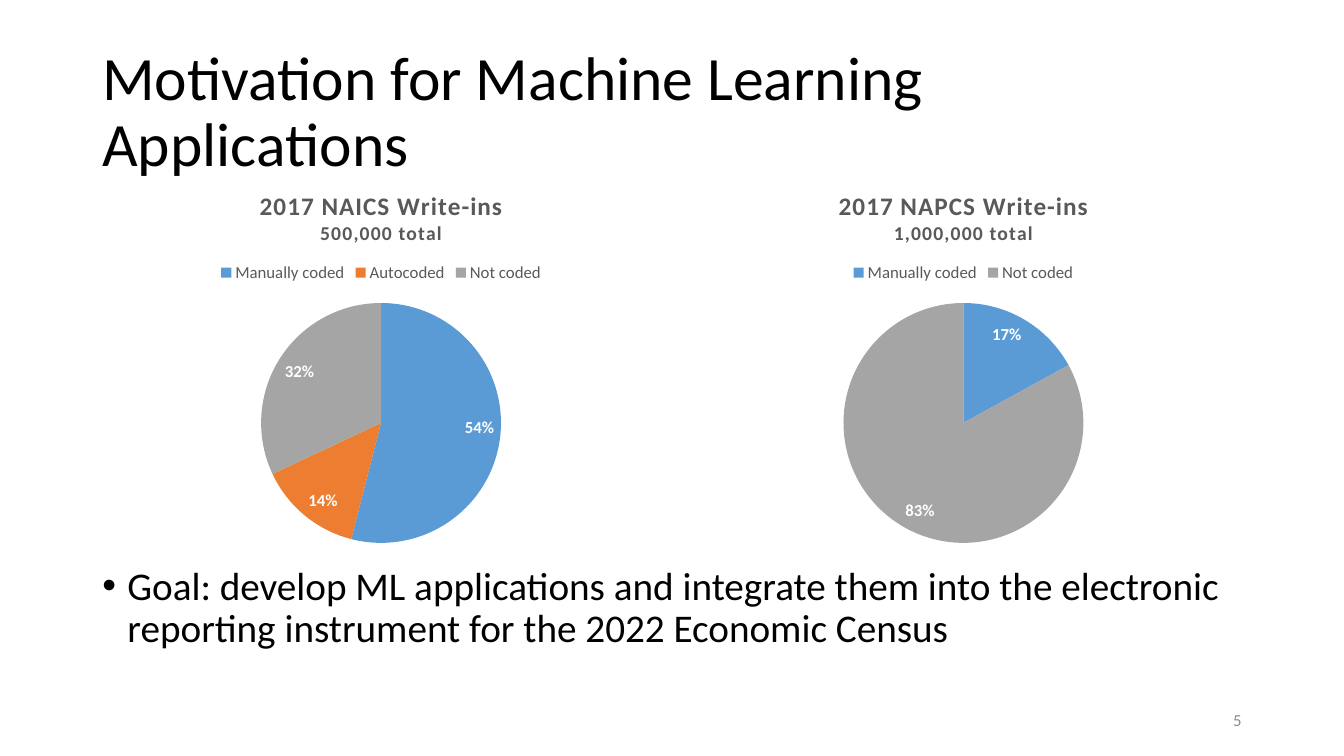
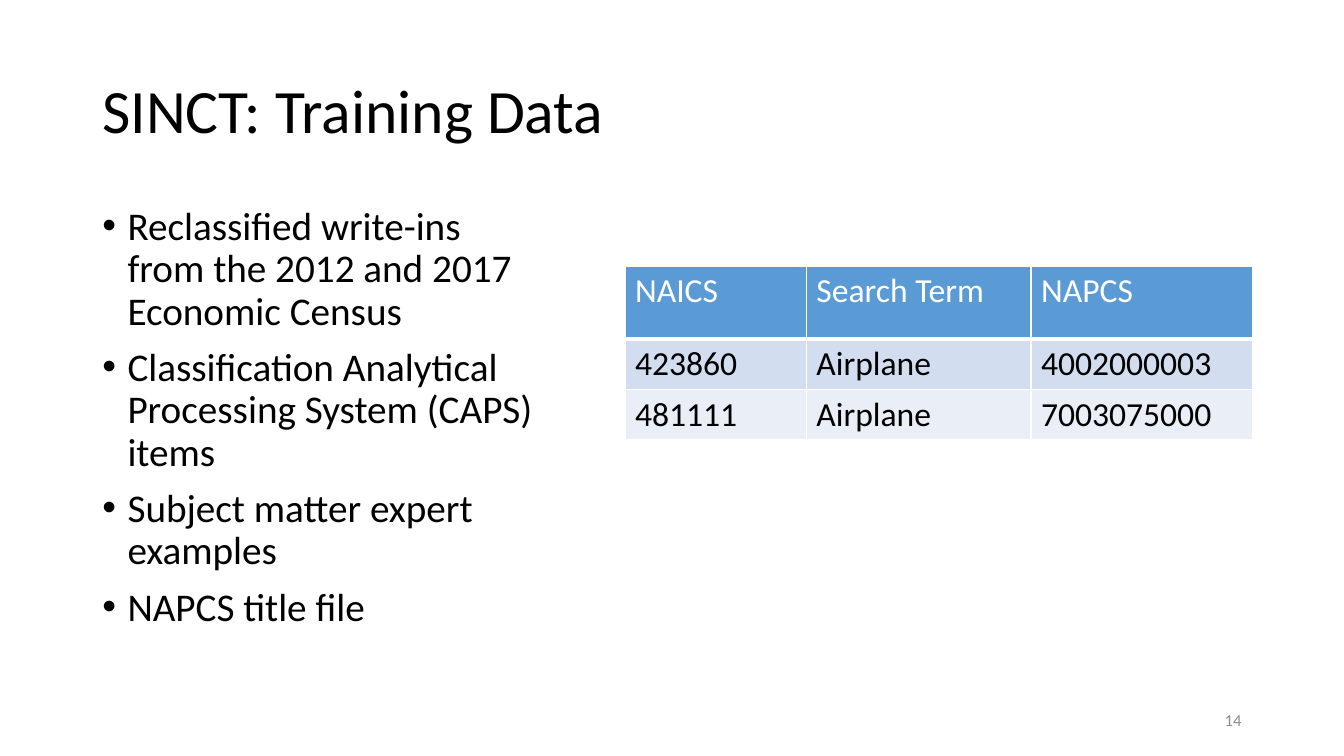
from lxml.etree import SubElement
from pptx import Presentation
from pptx.chart.data import CategoryChartData
from pptx.dml.color import RGBColor
from pptx.enum.chart import XL_CHART_TYPE as ChartType
from pptx.enum.chart import XL_LABEL_POSITION as LabelPosition
from pptx.enum.chart import XL_LEGEND_POSITION as LegendPosition
from pptx.enum.text import MSO_ANCHOR as Anchor
from pptx.enum.text import PP_ALIGN as Align
from pptx.oxml import parse_xml
from pptx.oxml.ns import nsdecls, qn
from pptx.util import Pt

FONT = "Calibri"
BLACK, WHITE = "000000", "FFFFFF"
BLUE, ORANGE, GRAY = "5B9BD5", "ED7D31", "A5A5A5"
CHART_TEXT, NUMBER_GRAY = "595959", "8C8C8C"
LEFT, WIDTH = 66, 828


def style(font, size, color, bold=False):
    font.name, font.size, font.bold = FONT, Pt(size), bold
    font.color.rgb = RGBColor.from_string(color)


def add_text(page, place, lines, size, color=BLACK, anchor=Anchor.TOP,
             align=Align.LEFT, bullets=False):
    frame = page.shapes.add_textbox(*map(Pt, place)).text_frame
    frame.word_wrap = True
    frame.vertical_anchor = anchor
    for index, line in enumerate(lines):
        para = frame.add_paragraph() if index else frame.paragraphs[0]
        para.alignment = align
        para.line_spacing = 0.9
        if bullets:
            para.space_before = Pt(10)
            props = para._p.get_or_add_pPr()
            props.set("marL", str(Pt(18)))
            props.set("indent", str(Pt(-18)))
            SubElement(props, qn("a:buFont")).set("typeface", "Arial")
            SubElement(props, qn("a:buChar")).set("char", "•")
        span = para.add_run()
        span.text = line
        style(span.font, size, color)


deck = Presentation()
deck.slide_width, deck.slide_height = Pt(960), Pt(540)

# Shared title and page number
pages = []
for title, number in [("Motivation for Machine Learning Applications", "5"),
                      ("SINCT: Training Data", "14")]:
    page = deck.slides.add_slide(deck.slide_layouts[6])
    add_text(page, (LEFT, 29, WIDTH, 104), [title], 44, anchor=Anchor.MIDDLE)
    add_text(page, (678, 500.5, 216, 29), [number], 12, NUMBER_GRAY,
             Anchor.MIDDLE, Align.RIGHT)
    pages.append(page)
motivation, training = pages

# Motivation: two pie charts above the goal
SLICE_COLORS = {"Manually coded": BLUE, "Autocoded": ORANGE, "Not coded": GRAY}
pies = [
    (93, "2017 NAICS Write-ins", "500,000 total",
     {"Manually coded": 54, "Autocoded": 14, "Not coded": 32}),
    (509, "2017 NAPCS Write-ins", "1,000,000 total",
     {"Manually coded": 17, "Not coded": 83}),
]
PLOT_AREA = {"x": 0.26, "y": 0.34, "w": 0.48, "h": 0.63}
for left, heading, total, shares in pies:
    data = CategoryChartData()
    data.categories = list(shares)
    data.add_series("Series 1", list(shares.values()))
    chart = motivation.shapes.add_chart(
        ChartType.PIE, Pt(left), Pt(124), Pt(358.5), Pt(272), data).chart
    style(chart.font, 10, BLACK)

    chart.has_title = True
    chart.chart_title.include_in_layout = False
    frame = chart.chart_title.text_frame
    for para, line, size in [(frame.paragraphs[0], heading, 18),
                             (frame.add_paragraph(), total, 14)]:
        span = para.add_run()
        span.text = line
        style(span.font, size, CHART_TEXT, bold=True)
        span._r.get_or_add_rPr().set("spc", "75")

    chart.has_legend = True
    chart.legend.position = LegendPosition.TOP
    chart.legend.include_in_layout = False
    style(chart.legend.font, 12, CHART_TEXT)

    plot = chart.plots[0]
    plot.vary_by_categories = True
    for index, category in enumerate(shares):
        fill = plot.series[0].points[index].format.fill
        fill.solid()
        fill.fore_color.rgb = RGBColor.from_string(SLICE_COLORS[category])
    plot.has_data_labels = True
    labels = plot.data_labels
    labels.show_percentage, labels.show_value = True, False
    labels.number_format, labels.number_format_is_linked = "0%", False
    labels.position = LabelPosition.INSIDE_END
    style(labels.font, 12, WHITE, bold=True)

    area = chart._chartSpace.find(".//" + qn("c:plotArea"))
    for layout in area.findall(qn("c:layout")):
        area.remove(layout)
    sizes = "".join(f'<c:{key} val="{value}"/>' for key, value in PLOT_AREA.items())
    area.insert(0, parse_xml(
        f'<c:layout {nsdecls("c")}><c:manualLayout><c:layoutTarget val="inner"/>'
        f'<c:xMode val="edge"/><c:yMode val="edge"/>{sizes}'
        '</c:manualLayout></c:layout>'))

add_text(motivation, (LEFT, 401, WIDTH, 76),
         ["Goal: develop ML applications and integrate them into the electronic "
          "reporting instrument for the 2022 Economic Census"], 28, bullets=True)

# Training data: sources beside an example table
add_text(training, (LEFT, 144, 328, 343),
         ["Reclassified write-ins from the 2012 and 2017 Economic Census",
          "Classification Analytical Processing System (CAPS) items",
          "Subject matter expert examples",
          "NAPCS title file"], 28, bullets=True)

examples = [
    (52, BLUE, WHITE, ["NAICS", "Search Term", "NAPCS"]),
    (36, "D2DEEF", BLACK, ["423860", "Airplane", "4002000003"]),
    (36, "EAEFF7", BLACK, ["481111", "Airplane", "7003075000"]),
]
column_widths = [129.5, 160.5, 158]
table = training.shapes.add_table(
    len(examples), len(column_widths), Pt(446.5), Pt(190),
    Pt(sum(column_widths)), Pt(sum(row[0] for row in examples))).table
for column, width in zip(table.columns, column_widths):
    column.width = Pt(width)
for row_index, (height, background, color, texts) in enumerate(examples):
    table.rows[row_index].height = Pt(height)
    for column_index, text in enumerate(texts):
        cell = table.cell(row_index, column_index)
        span = cell.text_frame.paragraphs[0].add_run()
        span.text = text
        style(span.font, 24, color)
        props = cell._tc.get_or_add_tcPr()
        for side in ("lnL", "lnR", "lnT", "lnB"):
            under_header = (row_index, side) in [(0, "lnB"), (1, "lnT")]
            line = SubElement(props, qn(f"a:{side}"))
            line.set("w", str(Pt(3 if under_header else 1)))
            solid = SubElement(line, qn("a:solidFill"))
            SubElement(solid, qn("a:srgbClr")).set("val", WHITE)
        cell.fill.solid()
        cell.fill.fore_color.rgb = RGBColor.from_string(background)

deck.save("out.pptx")
